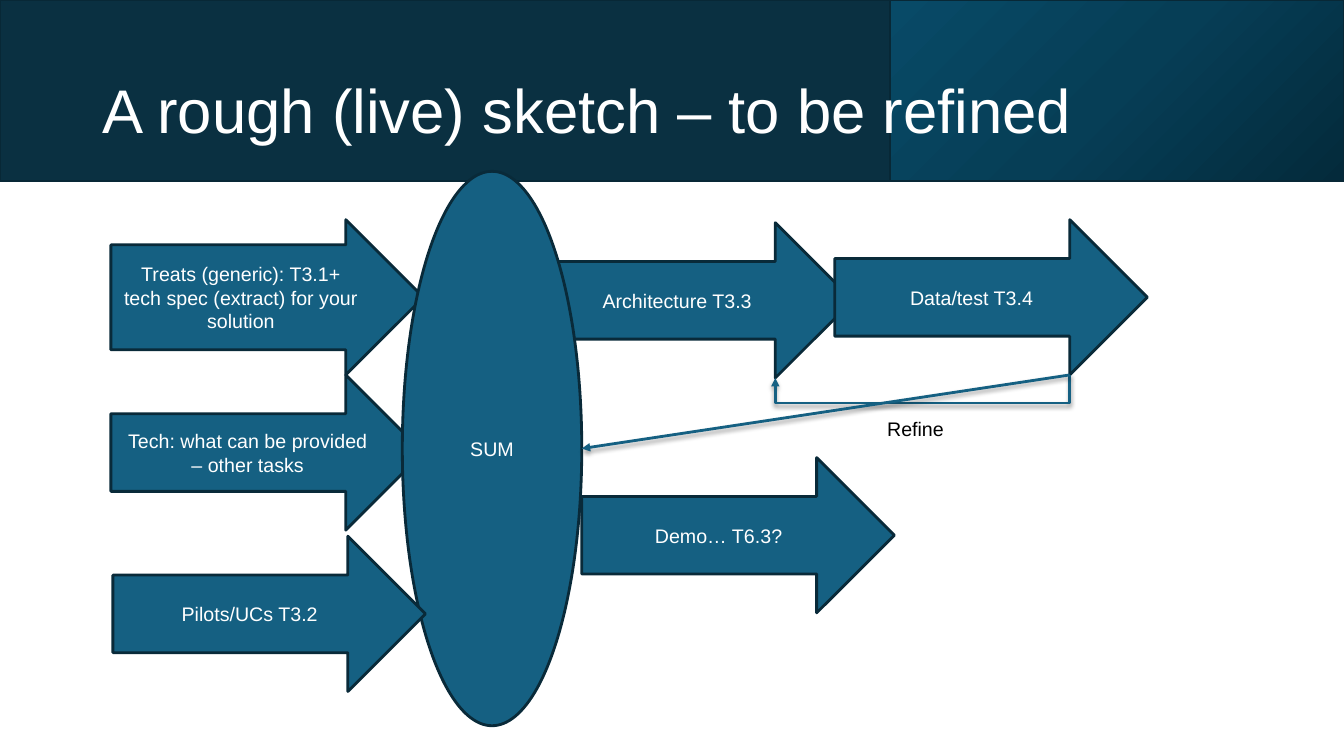
from copy import deepcopy

from pptx import Presentation
from pptx.dml.color import RGBColor
from pptx.enum.shapes import MSO_CONNECTOR as Connector, MSO_SHAPE as Shape
from pptx.enum.text import MSO_ANCHOR as Anchor, MSO_AUTO_SIZE as AutoSize, PP_ALIGN as Align
from pptx.oxml import parse_xml
from pptx.oxml.ns import nsdecls, qn
from pptx.util import Inches, Pt

WHITE = RGBColor(0xFF, 0xFF, 0xFF)
BLACK = RGBColor(0x00, 0x00, 0x00)
BLUE = RGBColor(0x15, 0x60, 0x82)
OUTLINE = RGBColor(0x09, 0x2A, 0x39)
BAND = RGBColor(0x0A, 0x30, 0x41)
BAND_LINE = RGBColor(0x08, 0x28, 0x36)
GRADIENT = [RGBColor(0x04, 0x2A, 0x3B), RGBColor(0x06, 0x3E, 0x56), RGBColor(0x08, 0x4A, 0x67)]

ARROW_WIDTH, ARROW_HEIGHT = 3.1, 1.54
HEAD_LENGTH = ARROW_HEIGHT / 2


def write_text(shape, text, size=14, color=WHITE, align=Align.CENTER,
               anchor=Anchor.MIDDLE, wrap=True, spacing=None):
    frame = shape.text_frame
    frame.word_wrap = wrap
    frame.vertical_anchor = anchor
    paragraph = frame.paragraphs[0]
    paragraph.text = text
    paragraph.alignment = align
    paragraph.line_spacing = spacing
    paragraph.font.size = Pt(size)
    paragraph.font.name = "Arial"
    paragraph.font.color.rgb = color


def add_figure(slide, kind, box, fill=BLUE, line=OUTLINE, line_width=2):
    shape = slide.shapes.add_shape(kind, *map(Inches, box))
    shape.shadow.inherit = False
    shape.fill.solid()
    shape.fill.fore_color.rgb = fill
    shape.line.color.rgb = line
    shape.line.width = Pt(line_width)
    return shape


def fill_gradient(shape, colors, angle):
    """Spread the three colours evenly along the given angle."""
    shape.fill.gradient()
    shape.fill.gradient_angle = angle
    stop_list = shape.element.spPr.find(qn("a:gradFill")).find(qn("a:gsLst"))
    stop_list.insert(1, deepcopy(stop_list[0]))
    for index, (stop, color) in enumerate(zip(shape.fill.gradient_stops, colors)):
        stop.position = index / (len(colors) - 1)
        stop.color.rgb = color


def add_header_band(slide, left, top, width, height):
    accent_width = 4.5
    add_figure(slide, Shape.RECTANGLE, (left, top, width, height), BAND, BAND_LINE, 1.5)
    accent_box = (left + width - accent_width, top, accent_width, height)
    accent = add_figure(slide, Shape.RECTANGLE, accent_box, BAND, BAND_LINE, 1.5)
    fill_gradient(accent, GRADIENT, 135)


def add_title(slide, left, top, width, height):
    title = slide.shapes.add_textbox(*map(Inches, (left, top, width, height)))
    write_text(title, "A rough (live) sketch – to be refined", size=44,
               align=Align.LEFT, spacing=0.9)


def add_task_arrow(slide, text, left, top, shaft=0.5):
    arrow = add_figure(slide, Shape.RIGHT_ARROW, (left, top, ARROW_WIDTH, ARROW_HEIGHT))
    arrow.adjustments[0] = shaft
    write_text(arrow, text)


def add_feedback_line(slide, kind, start, end):
    """Add a line with a soft shadow and an arrowhead at its end."""
    connector = slide.shapes.add_connector(kind, *map(Inches, start + end))
    connector.line.color.rgb = BLUE
    connector.line.width = Pt(2)
    connector.line._get_or_add_ln().append(
        parse_xml(f'<a:tailEnd {nsdecls("a")} type="triangle"/>'))
    connector.element.spPr.append(parse_xml(
        f'<a:effectLst {nsdecls("a")}>'
        '<a:outerShdw blurRad="40000" dist="20000" dir="5400000" rotWithShape="0">'
        '<a:srgbClr val="000000"><a:alpha val="38000"/></a:srgbClr>'
        '</a:outerShdw></a:effectLst>'))
    return connector


def add_refine_loop(slide, start, end, drop):
    """Run down from start by drop, then left, then up to end."""
    (start_x, start_y), (end_x, end_y) = start, end
    rise, run = end_y - start_y, start_x - end_x
    center_x, center_y = (start_x + end_x) / 2, (start_y + end_y) / 2
    # The elbow is laid out upright, then turned a quarter about its centre.
    connector = add_feedback_line(
        slide, Connector.ELBOW,
        (center_x - rise / 2, center_y - run / 2),
        (center_x + rise / 2, center_y + run / 2))
    properties = connector.element.spPr
    properties.find(qn("a:xfrm")).set("rot", "5400000")
    geometry = properties.find(qn("a:prstGeom"))
    for guides in geometry.findall(qn("a:avLst")):
        geometry.remove(guides)
    geometry.append(parse_xml(
        f'<a:avLst {nsdecls("a")}>'
        f'<a:gd name="adj1" fmla="val {round(drop / rise * 100000)}"/></a:avLst>'))


def add_refine_label(slide, left, top, width, height):
    label = slide.shapes.add_textbox(*map(Inches, (left, top, width, height)))
    write_text(label, "Refine", color=BLACK, align=Align.LEFT, anchor=Anchor.TOP, wrap=False)
    label.text_frame.auto_size = AutoSize.SHAPE_TO_FIT_TEXT


def add_flow(slide, left, top, width, height):
    """Draw the inputs, the sum, the outputs and the feedback lines."""
    input_top = top + 0.48
    sum_left, sum_width = left + 2.89, 1.78
    sum_right = sum_left + sum_width
    data_left = left + 7.18
    architecture_left, architecture_top = left + 4.26, top + 0.51

    add_task_arrow(slide, "Architecture T3.3", architecture_left, architecture_top)
    add_title(slide, 0.92, 0.4, 11.5, 1.45)
    add_task_arrow(slide, "Tech: what can be provided – other tasks",
                   left, input_top + ARROW_HEIGHT)
    add_task_arrow(slide, "Treats (generic): T3.1+ tech spec (extract) for your solution",
                   left, input_top, shaft=0.676)
    total = add_figure(slide, Shape.OVAL, (sum_left, top, sum_width, height))
    write_text(total, "SUM")
    add_task_arrow(slide, "Pilots/UCs T3.2", left + 0.02, top + 3.62)
    add_task_arrow(slide, "Data/test T3.4", data_left, input_top)

    head_x = ARROW_WIDTH - HEAD_LENGTH
    data_corner = (data_left + head_x, input_top + ARROW_HEIGHT)
    architecture_corner = (architecture_left + head_x, architecture_top + ARROW_HEIGHT)
    add_refine_loop(slide, data_corner, architecture_corner, drop=0.28)
    add_refine_label(slide, left + 7.6, top + 2.39, 0.89, 0.4)
    add_feedback_line(slide, Connector.STRAIGHT, data_corner, (sum_right, top + height / 2))
    add_task_arrow(slide, "Demo… T6.3?", sum_right, top + 2.84)


def main():
    presentation = Presentation()
    presentation.slide_width, presentation.slide_height = Inches(13.33), Inches(7.5)
    slide = presentation.slides.add_slide(presentation.slide_layouts[6])
    add_header_band(slide, 0, 0, 13.33, 1.8)
    add_flow(slide, 1.1, 1.7, 10.28, 5.5)
    presentation.save("out.pptx")


if __name__ == "__main__":
    main()
